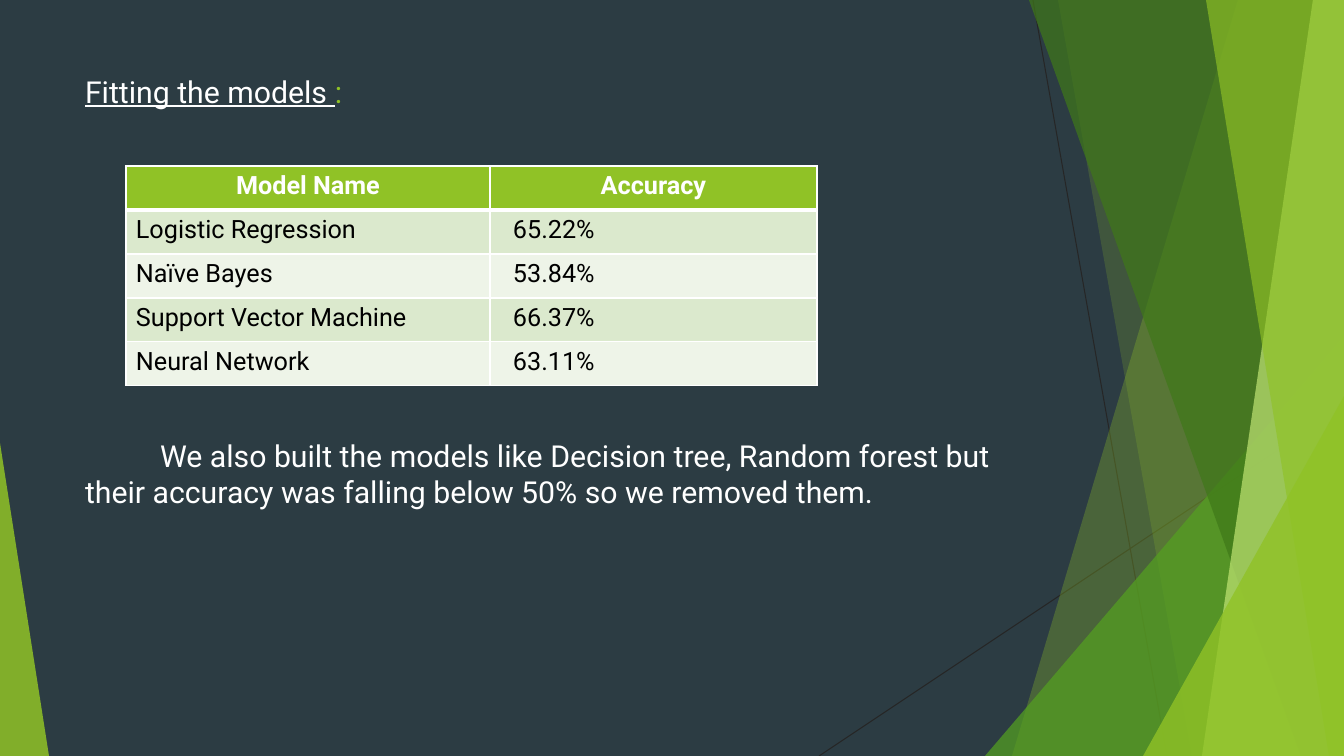
from pptx import Presentation
from pptx.dml.color import RGBColor
from pptx.enum.shapes import MSO_CONNECTOR, MSO_SHAPE
from pptx.enum.text import PP_ALIGN
from pptx.oxml.ns import qn
from pptx.util import Pt
from lxml.etree import SubElement

PX = 914400 / 100.8
W, H = 1344, 756
FONT = "Roboto"
COLORS = {
    "bg": "2C3C43", "line": "262626", "lime": "90C226", "green": "54A021",
    "forest": "3F7819", "pale": "C0E474", "white": "FFFFFF", "black": "000000",
    "odd": "DBE9CD", "even": "EEF4E8",
}
RAYS = [((1033, 0), (1167, H)), ((W, 406), (819, H))]
# kind, geometry (band: top x, bottom x; triangle: left, top, width, apex), color, opacity
FACETS = [
    ("band", (1238, 1012), "lime", 30),
    ("band", (1058, 1192), "lime", 20),
    ("triangle", (985, 336, 359, 1), "green", 72),
    ("band", (1029, 1301), "forest", 70),
    ("band", (1313, 1202), "pale", 70),
    ("band", (1206, 1329), "lime", 65),
    ("triangle", (1143, 396, 201, 1), "lime", 80),
    ("triangle", (0, 443, 49, 0), "lime", 85),
]
HEADING = [("Fitting the models ", "white", True), (":", "lime", False)]
NOTE = [("We also built the models like Decision tree, Random forest but "
         "their accuracy was falling below 50% so we removed them.", "white", False)]
TEXT_BOX = (85, 73, 927, 440)
NOTE_INDENT, NOTE_GAP = 75, 328
ROWS = [
    ("Model Name", "Accuracy"),
    ("Logistic Regression", "65.22%"),
    ("Naïve Bayes", "53.84%"),
    ("Support Vector Machine", "66.37%"),
    ("Neural Network", "63.11%"),
]
TABLE_LEFT, TABLE_TOP, ROW_H = 126, 166, 44
COL_WIDTHS, COL_INSETS = (364, 327), (10, 23)


def px(n):
    """Turn pixels into EMU."""
    return round(n * PX)


def rgb(name):
    """Look up a named colour."""
    return RGBColor.from_string(COLORS[name])


def add_run(p, text, size, color, bold=False, underline=False):
    """Append one styled run to a paragraph."""
    r = p.add_run()
    r.text = text
    f = r.font
    f.name, f.size, f.bold, f.underline = FONT, Pt(size), bold, underline
    f.color.rgb = rgb(color)


def add_ray(start, end):
    """Draw a thin background line."""
    s = slide.shapes.add_connector(MSO_CONNECTOR.STRAIGHT, *map(px, start + end))
    s.line.color.rgb = rgb("line")
    s.line.width = Pt(0.75)
    SubElement(s._element.spPr, qn("a:effectLst"))


def add_facet(kind, geometry, color, opacity):
    """Draw a translucent band to the right edge or a corner triangle."""
    if kind == "band":
        top, bottom = geometry
        fb = slide.shapes.build_freeform(top, 0, scale=PX)
        fb.add_line_segments([(W, 0), (W, H), (bottom, H)], close=True)
        s = fb.convert_to_shape()
    else:
        left, top, width, apex = geometry
        s = slide.shapes.add_shape(MSO_SHAPE.ISOSCELES_TRIANGLE,
                                   *map(px, (left, top, width, H - top)))
        s.adjustments[0] = apex
    s.shadow.inherit = False
    s.line.fill.background()
    s.fill.solid()
    s.fill.fore_color.rgb = rgb(color)
    clr = s._element.spPr.find(qn("a:solidFill"))[0]
    SubElement(clr, qn("a:alpha"), val=str(opacity * 1000))


def add_borders(cell, bottom, top):
    """Give a cell white borders of the given widths in points."""
    tcPr = cell._tc.get_or_add_tcPr()
    for side, width in (("L", 1), ("R", 1), ("T", top), ("B", bottom)):
        ln = SubElement(tcPr, qn("a:ln" + side), w=str(Pt(width)))
        fill = SubElement(ln, qn("a:solidFill"))
        SubElement(fill, qn("a:srgbClr"), val=COLORS["white"])


def add_text():
    """Place the heading and the note in one text box."""
    tf = slide.shapes.add_textbox(*map(px, TEXT_BOX)).text_frame
    tf.word_wrap = True
    tf.margin_left = tf.margin_right = tf.margin_top = tf.margin_bottom = 0
    note = tf.add_paragraph()
    note.space_before = px(NOTE_GAP)
    note._p.get_or_add_pPr().set("indent", str(px(NOTE_INDENT)))
    for p, runs in ((tf.paragraphs[0], HEADING), (note, NOTE)):
        for text, color, underline in runs:
            add_run(p, text, 21.6, color, underline=underline)


def add_accuracy_table():
    """Build the table of models and accuracies."""
    box = (TABLE_LEFT, TABLE_TOP, sum(COL_WIDTHS), ROW_H * len(ROWS))
    table = slide.shapes.add_table(len(ROWS), len(COL_WIDTHS), *map(px, box)).table
    for col, width in zip(table.columns, COL_WIDTHS):
        col.width = px(width)
    for i, row in enumerate(ROWS):
        table.rows[i].height = px(ROW_H)
        head = i == 0
        for j, text in enumerate(row):
            cell = table.cell(i, j)
            add_borders(cell, bottom=3 if head else 1, top=3 if i == 1 else 1)
            cell.fill.solid()
            cell.fill.fore_color.rgb = rgb("lime" if head else "odd" if i % 2 else "even")
            cell.margin_left = px(COL_INSETS[0 if head else j])
            cell.margin_right = px(COL_INSETS[0])
            p = cell.text_frame.paragraphs[0]
            p.alignment = PP_ALIGN.CENTER if head else PP_ALIGN.LEFT
            add_run(p, text, 18, "white" if head else "black", bold=head)


prs = Presentation()
prs.slide_width, prs.slide_height = px(W), px(H)
slide = prs.slides.add_slide(prs.slide_layouts[6])
slide.background.fill.solid()
slide.background.fill.fore_color.rgb = rgb("bg")
for ray in RAYS:
    add_ray(*ray)
for facet in FACETS:
    add_facet(*facet)
add_text()
add_accuracy_table()
prs.save("out.pptx")
